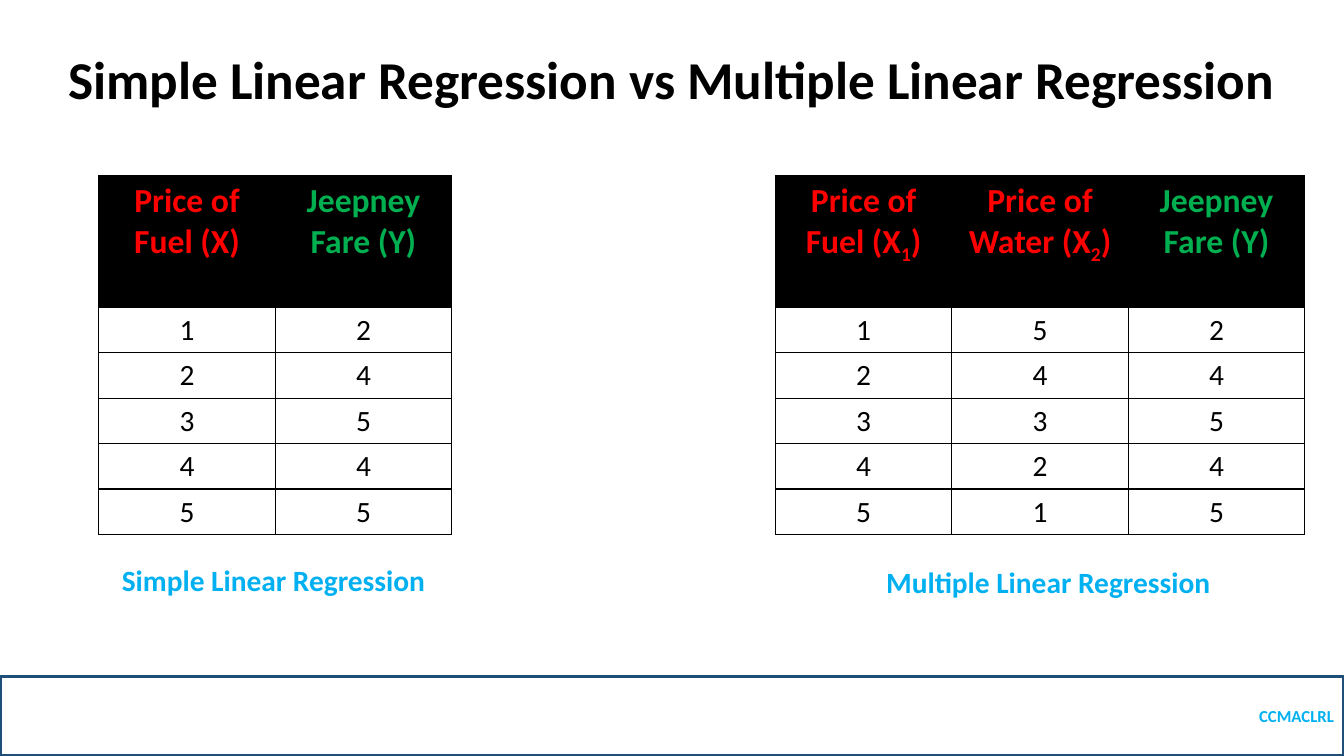
import lxml.etree
import pptx
import pptx.dml.color
import pptx.enum.text
import pptx.oxml.ns
import pptx.util

Inches = pptx.util.Inches
Align = pptx.enum.text.PP_ALIGN
Anchor = pptx.enum.text.MSO_ANCHOR
qn = pptx.oxml.ns.qn

BLACK, RED, GREEN, SKY, NAVY = "000000", "FF0000", "00B050", "00B0F0", "1F4E79"
COLUMN_WIDTH, HEADER_HEIGHT, ROW_HEIGHT = 1.75, 1.31, 0.45


def color(hex_string):
    return pptx.dml.color.RGBColor.from_string(hex_string)


def add_span(para, text, size, hex_string, bold=True):
    span = para.add_run()
    span.text = text
    span.font.name = "Calibri"
    span.font.size = pptx.util.Pt(size)
    span.font.bold = bold
    span.font.color.rgb = color(hex_string)
    return span


deck = pptx.Presentation()
deck.slide_width, deck.slide_height = Inches(13.33), Inches(7.5)
page = deck.slides.add_slide(deck.slide_layouts[6])

# Footer bar
footer = page.shapes.add_shape(
    pptx.enum.shapes.MSO_SHAPE.RECTANGLE, 0, Inches(6.71), Inches(13.33), Inches(0.79))
footer.shadow.inherit = False
footer.fill.background()
footer.line.color.rgb = color(NAVY)
footer.line.width = pptx.util.Pt(2.25)
footer.text_frame.vertical_anchor = Anchor.MIDDLE
para = footer.text_frame.paragraphs[0]
para.alignment = Align.RIGHT
add_span(para, "CCMACLRL", 12, SKY)

# Title
title = page.shapes.add_textbox(Inches(0.5), Inches(0.36), Inches(12.33), Inches(0.79))
title.text_frame.word_wrap = True
title.text_frame.vertical_anchor = Anchor.BOTTOM
para = title.text_frame.paragraphs[0]
para.alignment = Align.CENTER
para.line_spacing = 0.9
add_span(para, "Simple Linear Regression vs Multiple Linear Regression", 38, BLACK)

# Data tables: headers are (text, subscript, closing text, colour)
fuel = [1, 2, 3, 4, 5]
water = [5, 4, 3, 2, 1]
fare = [2, 4, 5, 4, 5]
fare_header = ("Jeepney Fare (Y", "", ")", GREEN)
tables = [
    (0.98, [(("Price of Fuel (X", "", ")", RED), fuel), (fare_header, fare)]),
    (7.69, [(("Price of Fuel (X", "1", ")", RED), fuel),
            (("Price of Water (X", "2", ")", RED), water), (fare_header, fare)]),
]
for left, columns in tables:
    height = HEADER_HEIGHT + ROW_HEIGHT * len(fuel)
    table = page.shapes.add_table(
        len(fuel) + 1, len(columns), Inches(left), Inches(1.74),
        Inches(COLUMN_WIDTH * len(columns)), Inches(height)).table
    table.first_row = table.horz_banding = False
    for row in table.rows:
        row.height = Inches(ROW_HEIGHT)
    table.rows[0].height = Inches(HEADER_HEIGHT)

    for column, (header, values) in enumerate(columns):
        table.columns[column].width = Inches(COLUMN_WIDTH)
        for row in range(len(values) + 1):
            cell = table.cell(row, column)
            # Cell borders
            for side in ("lnL", "lnR", "lnT", "lnB"):
                border = lxml.etree.SubElement(
                    cell._tc.get_or_add_tcPr(), qn("a:" + side), w=str(pptx.util.Pt(1)))
                fill = lxml.etree.SubElement(border, qn("a:solidFill"))
                lxml.etree.SubElement(fill, qn("a:srgbClr"), val=BLACK)
            para = cell.text_frame.paragraphs[0]
            para.alignment = Align.CENTER
            if row > 0:
                cell.fill.background()
                add_span(para, str(values[row - 1]), 21, BLACK, bold=False)
                continue
            # Header cell
            cell.fill.solid()
            cell.fill.fore_color.rgb = color(BLACK)
            label, subscript, closing, hex_string = header
            if subscript:
                add_span(para, label, 24, hex_string)
                span = add_span(para, subscript, 24, hex_string)
                span.font._element.set("baseline", "-25000")
                add_span(para, closing, 24, hex_string)
            else:
                add_span(para, label + closing, 24, hex_string)

# Captions
captions = [(1.11, 5.53, 3.24, "Simple Linear Regression"),
            (8.69, 5.55, 3.45, "Multiple Linear Regression")]
for left, top, width, text in captions:
    box = page.shapes.add_textbox(Inches(left), Inches(top), Inches(width), Inches(0.45))
    box.text_frame.word_wrap = False
    add_span(box.text_frame.paragraphs[0], text, 21, SKY)

deck.save("out.pptx")
